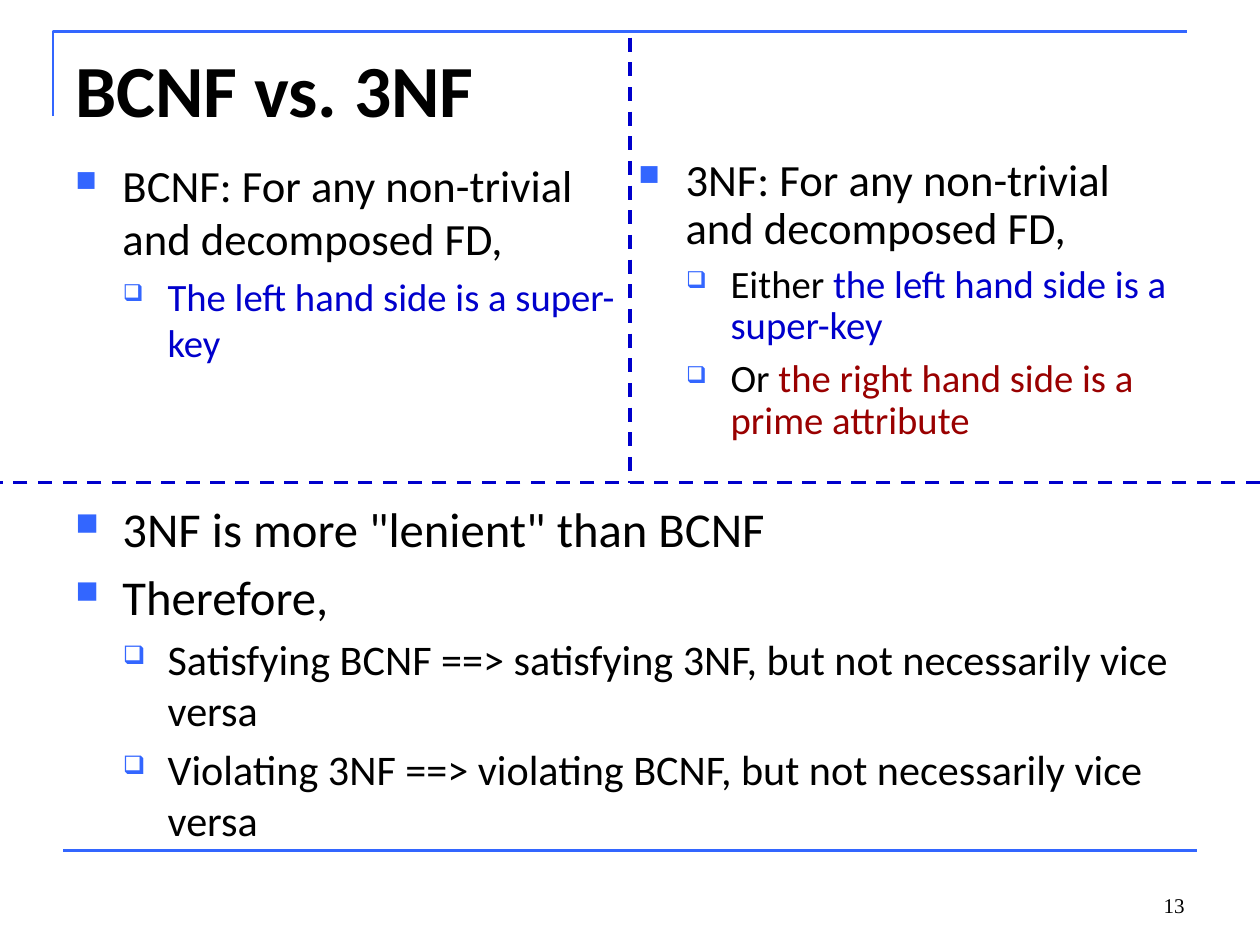
from lxml import etree
from pptx import Presentation
from pptx.dml.color import RGBColor
from pptx.enum import dml, shapes, text
from pptx.oxml.ns import qn
from pptx.util import Cm, Pt

BLACK = RGBColor(0x00, 0x00, 0x00)
FRAME_BLUE = RGBColor(0x33, 0x66, 0xFF)
KEY_BLUE = RGBColor(0x00, 0x00, 0xCC)
PRIME_RED = RGBColor(0x99, 0x00, 0x00)

# Per outline level: left margin (cm), hanging indent (cm), bullet, bullet size (%)
LEVELS = [(0.95, 0.95, "■", 65), (1.86, 0.9, "❑", 60)]


def add_rule(slide, start, end, color, width, dashed=False):
    rule = slide.shapes.add_connector(
        shapes.MSO_CONNECTOR.STRAIGHT, *map(Cm, start), *map(Cm, end))
    rule.line.color.rgb = color
    rule.line.width = Pt(width)
    if dashed:
        rule.line.dash_style = dml.MSO_LINE.DASH
    etree.SubElement(rule._element.spPr, qn("a:effectLst"))


def add_frame(slide, left, top, width, height, footer_top):
    """Corner bracket around the title, and the rule above the footer."""
    corner = slide.shapes.build_freeform(Cm(left), Cm(top + height))
    corner.add_line_segments(
        [(Cm(left), Cm(top)), (Cm(left + width), Cm(top))], close=False)
    bracket = corner.convert_to_shape()
    bracket.shadow.inherit = False
    bracket.fill.background()
    bracket.line.color.rgb = FRAME_BLUE
    bracket.line.width = Pt(1.5)
    footer_left = left + 0.2
    add_rule(slide, (footer_left, footer_top), (footer_left + width, footer_top),
             FRAME_BLUE, 1.5)


def add_dividers(slide, left, top, width, bottom):
    """Dashed lines that part the two definitions and the conclusion."""
    middle = left + width / 2
    add_rule(slide, (middle, top), (middle, bottom), KEY_BLUE, 2, dashed=True)
    add_rule(slide, (left + width, bottom), (left, bottom), KEY_BLUE, 2, dashed=True)


def add_frame_text(slide, box, anchor=text.MSO_ANCHOR.TOP):
    frame = slide.shapes.add_textbox(*map(Cm, box)).text_frame
    frame.word_wrap = True
    frame.vertical_anchor = anchor
    return frame


def add_run(paragraph, words, size, color=BLACK, font="Calibri", bold=False):
    run = paragraph.add_run()
    run.text = words
    run.font.name = font
    run.font.size = Pt(size)
    run.font.bold = bold
    run.font.color.rgb = color


def set_bullet(paragraph, level):
    margin, hanging, mark, percent = LEVELS[level]
    props = paragraph._p.get_or_add_pPr()
    props.set("marL", str(Cm(margin)))
    props.set("indent", str(-Cm(hanging)))
    color = etree.SubElement(props, qn("a:buClr"))
    etree.SubElement(color, qn("a:srgbClr"), val=str(FRAME_BLUE))
    etree.SubElement(props, qn("a:buSzPct"), val=str(percent * 1000))
    etree.SubElement(props, qn("a:buChar"), char=mark)


def add_outline(slide, box, items, sizes, line_spacing=None, gap=None):
    """Items are (level, [(words, color), ...]); the gap defaults to 20% of the size."""
    frame = add_frame_text(slide, box)
    for index, (level, runs) in enumerate(items):
        paragraph = frame.add_paragraph() if index else frame.paragraphs[0]
        paragraph.level = level
        set_bullet(paragraph, level)
        if line_spacing:
            paragraph.line_spacing = line_spacing
        if index:
            paragraph.space_before = Pt(gap or 0.2 * sizes[level])
        for words, color in runs:
            add_run(paragraph, words, sizes[level], color)


def add_title(slide, box, words):
    add_run(add_frame_text(slide, box).paragraphs[0], words, 42, bold=True)


def add_page_number(slide, box, number):
    paragraph = add_frame_text(slide, box, text.MSO_ANCHOR.BOTTOM).paragraphs[0]
    paragraph.alignment = text.PP_ALIGN.RIGHT
    add_run(paragraph, number, 12, font="Times New Roman")


def main():
    deck = Presentation()
    deck.slide_width, deck.slide_height = Cm(25.4), Cm(19.05)
    slide = deck.slides.add_slide(deck.slide_layouts[6])

    add_frame(slide, 1.07, 0.64, 22.86, 1.7, footer_top=17.15)
    add_title(slide, (1.27, 0.76, 22.86, 3.18), "BCNF vs. 3NF")
    add_page_number(slide, (18.2, 17.35, 5.93, 1.27), "13")

    bcnf = [
        (0, [("BCNF: For any non-trivial and decomposed FD,", BLACK)]),
        (1, [("The left hand side is a super-key", KEY_BLUE)]),
    ]
    third_nf = [
        (0, [("3NF: For any non-trivial and decomposed FD,", BLACK)]),
        (1, [("Either ", BLACK), ("the left hand side is a super-key", KEY_BLUE)]),
        (1, [("Or ", BLACK), ("the right hand side is a prime attribute", PRIME_RED)]),
    ]
    conclusion = [
        (0, [('3NF is more "lenient" than BCNF', BLACK)]),
        (0, [("Therefore,", BLACK)]),
        (1, [("Satisfying BCNF ==> satisfying 3NF, but not necessarily vice versa", BLACK)]),
        (1, [("Violating 3NF ==> violating BCNF, but not necessarily vice versa", BLACK)]),
    ]
    definition_sizes = (25.5, 22.1)
    add_outline(slide, (1.27, 3.05, 11.43, 4.27), bcnf, definition_sizes)
    add_outline(slide, (12.62, 3.05, 11.43, 6.1), third_nf, definition_sizes,
                line_spacing=0.9, gap=6.2)
    add_dividers(slide, 0, 0.76, 25.4, 9.73)
    add_outline(slide, (1.27, 9.93, 22.86, 7.11), conclusion, (27.8, 24.1))

    deck.save("out.pptx")


if __name__ == "__main__":
    main()
